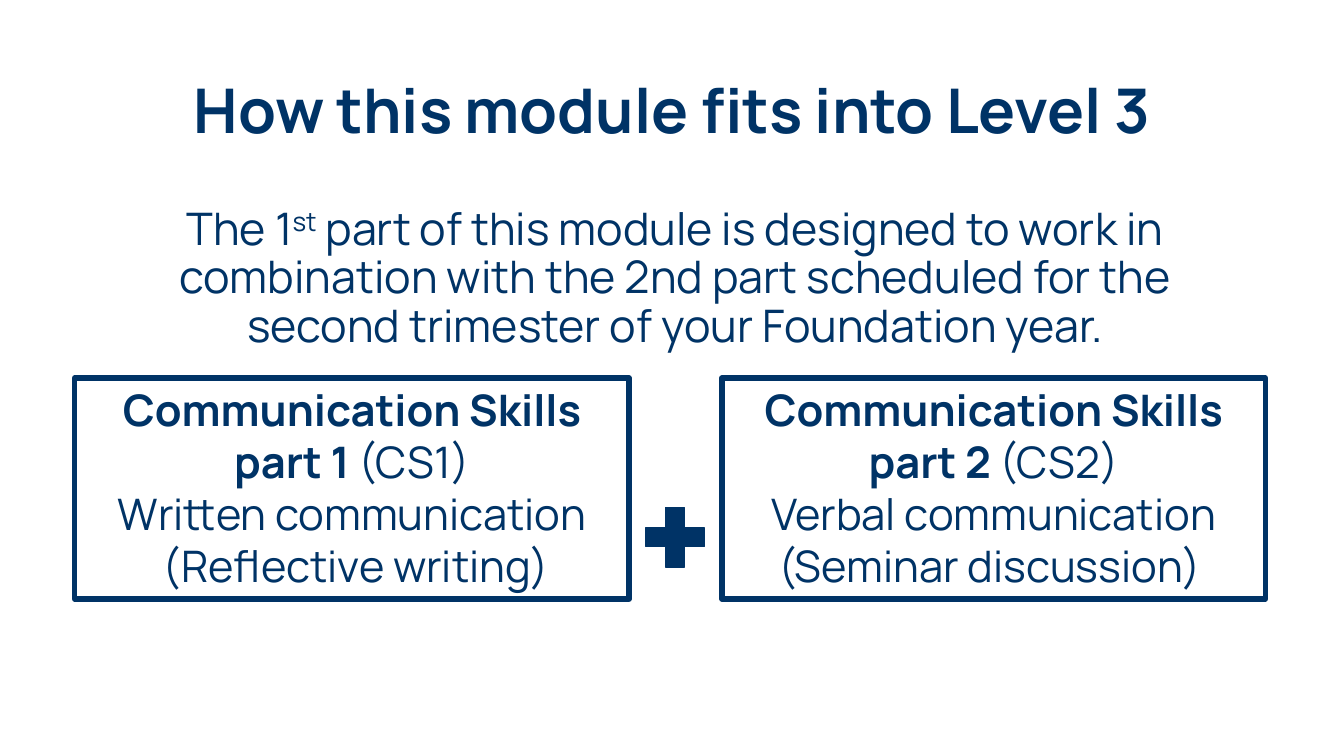
"""Build the slide on how the module fits into Level 3."""
from dataclasses import dataclass
from typing import Any

import pptx
import pptx.dml.color
import pptx.enum.shapes
import pptx.enum.text
import pptx.util

PX = 9144
NAVY = "003366"
FONT = "Manrope"


@dataclass(frozen=True)
class Run:
    text: str
    bold: bool = False
    superscript: bool = False


@dataclass(frozen=True)
class Box:
    left: int
    top: int
    width: int
    height: int

    def emu(self) -> tuple[int, ...]:
        return tuple(v * PX for v in (self.left, self.top, self.width, self.height))


@dataclass(frozen=True)
class Part:
    box: Box
    paragraphs: list[list[Run]]


TITLE_BOX = Box(92, 40, 1150, 145)
INTRO_BOX = Box(92, 200, 1156, 175)
PLUS_BOX = Box(630, 493, 79, 80)

TITLE = [[Run("How this module fits into Level 3", bold=True)]]
INTRO = [[
    Run("The 1"),
    Run("st", superscript=True),
    Run(" part of this module is designed to work in combination with the 2nd part "
        "scheduled for the second trimester of your Foundation year."),
]]
PARTS = [
    Part(Box(74, 375, 550, 219), [
        [Run("Communication Skills part 1 ", bold=True), Run("(CS1)")],
        [Run("Written communication")],
        [Run(" (Reflective writing)")],
    ]),
    Part(Box(716, 375, 539, 219), [
        [Run("Communication Skills part 2 ", bold=True), Run("(CS2)")],
        [Run("Verbal communication")],
        [Run("(Seminar discussion) ")],
    ]),
]


def rgb(value: str) -> pptx.dml.color.RGBColor:
    return pptx.dml.color.RGBColor.from_string(value)


def write(sp: Any, paragraphs: list[list[Run]], size: int, spacing: float = 1.0,
          anchor: Any = pptx.enum.text.MSO_ANCHOR.TOP) -> None:
    tf = sp.text_frame
    tf.word_wrap = True
    tf.auto_size = pptx.enum.text.MSO_AUTO_SIZE.NONE
    tf.vertical_anchor = anchor
    for i, runs in enumerate(paragraphs):
        p = tf.add_paragraph() if i else tf.paragraphs[0]
        p.alignment = pptx.enum.text.PP_ALIGN.CENTER
        p.line_spacing = spacing
        for run in runs:
            r = p.add_run()
            r.text = run.text
            r.font.name = FONT
            r.font.size = pptx.util.Pt(size)
            r.font.bold = run.bold
            r.font.color.rgb = rgb(NAVY)
            if run.superscript:
                r._r.get_or_add_rPr().set("baseline", "30000")


def add_outlined(s: Any, kind: Any, box: Box, line_pt: int) -> Any:
    sp = s.shapes.add_shape(kind, *box.emu())
    sp.shadow.inherit = False
    sp.fill.background()
    sp.line.color.rgb = rgb(NAVY)
    sp.line.width = pptx.util.Pt(line_pt)
    return sp


def main() -> None:
    prs = pptx.Presentation()
    prs.slide_width, prs.slide_height = 1333 * PX, 750 * PX
    s = prs.slides.add_slide(prs.slide_layouts[5])

    title = s.shapes.title
    title.left, title.top, title.width, title.height = TITLE_BOX.emu()
    write(title, TITLE, 44, 0.9, pptx.enum.text.MSO_ANCHOR.MIDDLE)

    write(s.shapes.add_textbox(*INTRO_BOX.emu()), INTRO, 32, 0.9)

    shapes = pptx.enum.shapes.MSO_SHAPE
    for part in PARTS:
        write(add_outlined(s, shapes.RECTANGLE, part.box, 4), part.paragraphs, 31)

    plus = add_outlined(s, shapes.MATH_PLUS, PLUS_BOX, 1)
    plus.fill.solid()
    plus.fill.fore_color.rgb = rgb(NAVY)

    prs.save("out.pptx")


if __name__ == "__main__":
    main()
